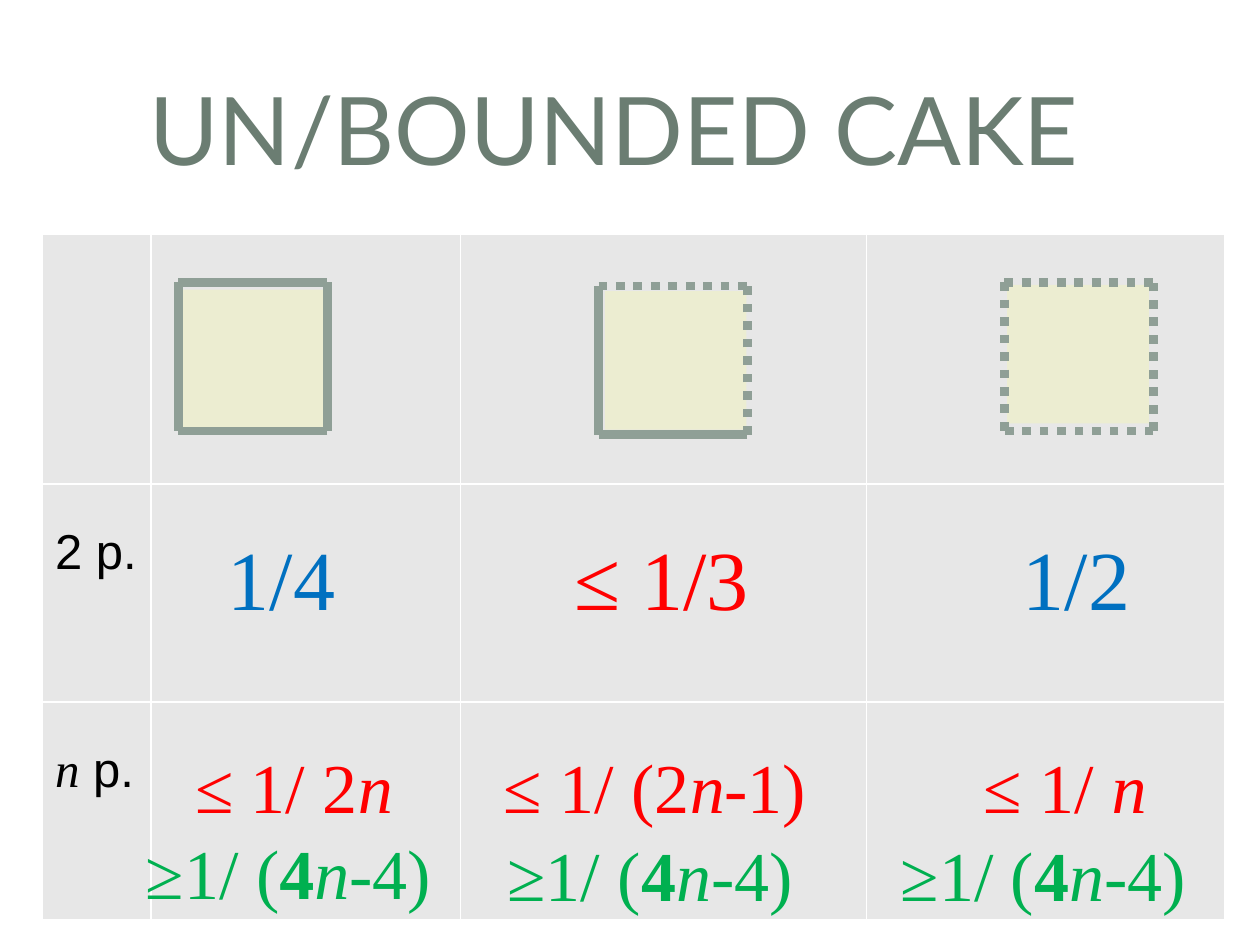
from lxml.etree import SubElement
from pptx import Presentation
from pptx.dml.color import RGBColor
from pptx.enum.dml import MSO_LINE
from pptx.enum.shapes import MSO_CONNECTOR, MSO_SHAPE
from pptx.enum.text import MSO_ANCHOR, MSO_AUTO_SIZE, PP_ALIGN
from pptx.oxml.ns import qn
from pptx.util import Pt

SERIF = "Times New Roman"
BLUE, RED, GREEN = "0070C0", "FF0000", "00B050"


def color(code):
    return RGBColor.from_string(code)


def write(para, spans, size, code):
    """Each span is (text, font name, style); style holds b and/or i."""
    for text, font, style in spans:
        span = para.add_run()
        span.text = text
        span.font.name = font
        span.font.size = Pt(size)
        span.font.color.rgb = color(code)
        span.font.bold = "b" in style
        span.font.italic = "i" in style


deck = Presentation()
deck.slide_width, deck.slide_height = Pt(720), Pt(540)
page = deck.slides.add_slide(deck.slide_layouts[6])

# Title
box = page.shapes.add_textbox(Pt(25.9), Pt(31.7), Pt(650.2), Pt(82.1))
box.text_frame.word_wrap = True
box.text_frame.vertical_anchor = MSO_ANCHOR.MIDDLE
para = box.text_frame.paragraphs[0]
para.alignment = PP_ALIGN.CENTER
write(para, [("UN/BOUNDED CAKE", "Lato", "")], 54, "6B7D72")

# Table with the row labels
widths = [62, 177, 232, 204.8]
heights = [142.6, 124.5, 124.5]
table = page.shapes.add_table(3, 4, Pt(24.3), Pt(134), Pt(sum(widths)), Pt(sum(heights))).table
for column, width in zip(table.columns, widths):
    column.width = Pt(width)
for row, height in zip(table.rows, heights):
    row.height = Pt(height)
for cell in table.iter_cells():
    cell.fill.solid()
    cell.fill.fore_color.rgb = color("E7E7E7")
row_labels = [
    [("2 p.", "Arial", "")],
    [("n", SERIF, "i"), (" p.", "Arial", "")],
]
for number, spans in enumerate(row_labels, start=1):
    cell = table.cell(number, 0)
    cell.margin_top = Pt(32.4)
    para = cell.text_frame.paragraphs[0]
    para.line_spacing = 0.66
    write(para, spans, 28, "000000")

# Cakes: left, top, filling offset, dotted sides
SIDE = 85
cakes = [
    (102, 161.3, 2.4, 4.2, ()),
    (342, 163.4, 3.6, 3, ("top", "right")),
    (574, 161.3, 1.5, 1.5, ("left", "top", "right", "bottom")),
]
for left, top, shift_x, shift_y, dotted in cakes:
    group = page.shapes.add_group_shape()
    filling = group.shapes.add_shape(
        MSO_SHAPE.RECTANGLE, Pt(left + shift_x), Pt(top + shift_y), Pt(81), Pt(79.2))
    filling.shadow.inherit = False
    filling.fill.solid()
    filling.fill.fore_color.rgb = color("ECEDD1")
    filling.line.fill.background()
    right, bottom = left + SIDE, top + SIDE
    sides = {
        "left": (left, top, left, bottom),
        "top": (left, top, right, top),
        "right": (right, bottom, right, top),
        "bottom": (right, bottom, left, bottom),
    }
    for name, ends in sides.items():
        edge = group.shapes.add_connector(MSO_CONNECTOR.STRAIGHT, *map(Pt, ends))
        edge.line.color.rgb = color("8F9F96")
        edge.line.width = Pt(5)
        if name in dotted:
            edge.line.dash_style = MSO_LINE.ROUND_DOT
        SubElement(edge._element.spPr, qn("a:effectLst"))

# Shares: left, top, width, height, size, colour, spans
lower_bound = [("≥1/ (", SERIF, ""), ("4", SERIF, "b"), ("n", SERIF, "i"), ("-4)", SERIF, "")]
shares = [
    (123.1, 302.4, 85, 61.2, 48, BLUE, [("1/4", SERIF, "")]),
    (321.1, 302.4, 126.7, 62.6, 48, RED, [("≤ 1/3", SERIF, "")]),
    (577.4, 302.4, 85, 61.2, 48, BLUE, [("1/2", SERIF, "")]),
    (104.4, 425.5, 131, 53, 40, RED, [("≤ 1/ 2", SERIF, ""), ("n", SERIF, "i")]),
    (280.8, 425.5, 200.2, 53, 40, RED,
     [("≤ 1/ (2", SERIF, ""), ("n", SERIF, "i"), ("-1)", SERIF, "")]),
    (555.1, 425.5, 123.1, 53, 40, RED, [("≤ 1/ ", SERIF, ""), ("n", SERIF, "i")]),
    (76.3, 474.5, 187.2, 53, 40, GREEN, lower_bound),
    (283, 475.9, 187.2, 53, 40, GREEN, lower_bound),
    (507.6, 475.9, 187.2, 53, 40, GREEN, lower_bound),
]
for left, top, width, height, size, code, spans in shares:
    box = page.shapes.add_textbox(Pt(left), Pt(top), Pt(width), Pt(height))
    box.text_frame.word_wrap = False
    box.text_frame.auto_size = MSO_AUTO_SIZE.SHAPE_TO_FIT_TEXT
    para = box.text_frame.paragraphs[0]
    para.line_spacing = 0.93
    write(para, spans, size, code)

deck.save("out.pptx")
